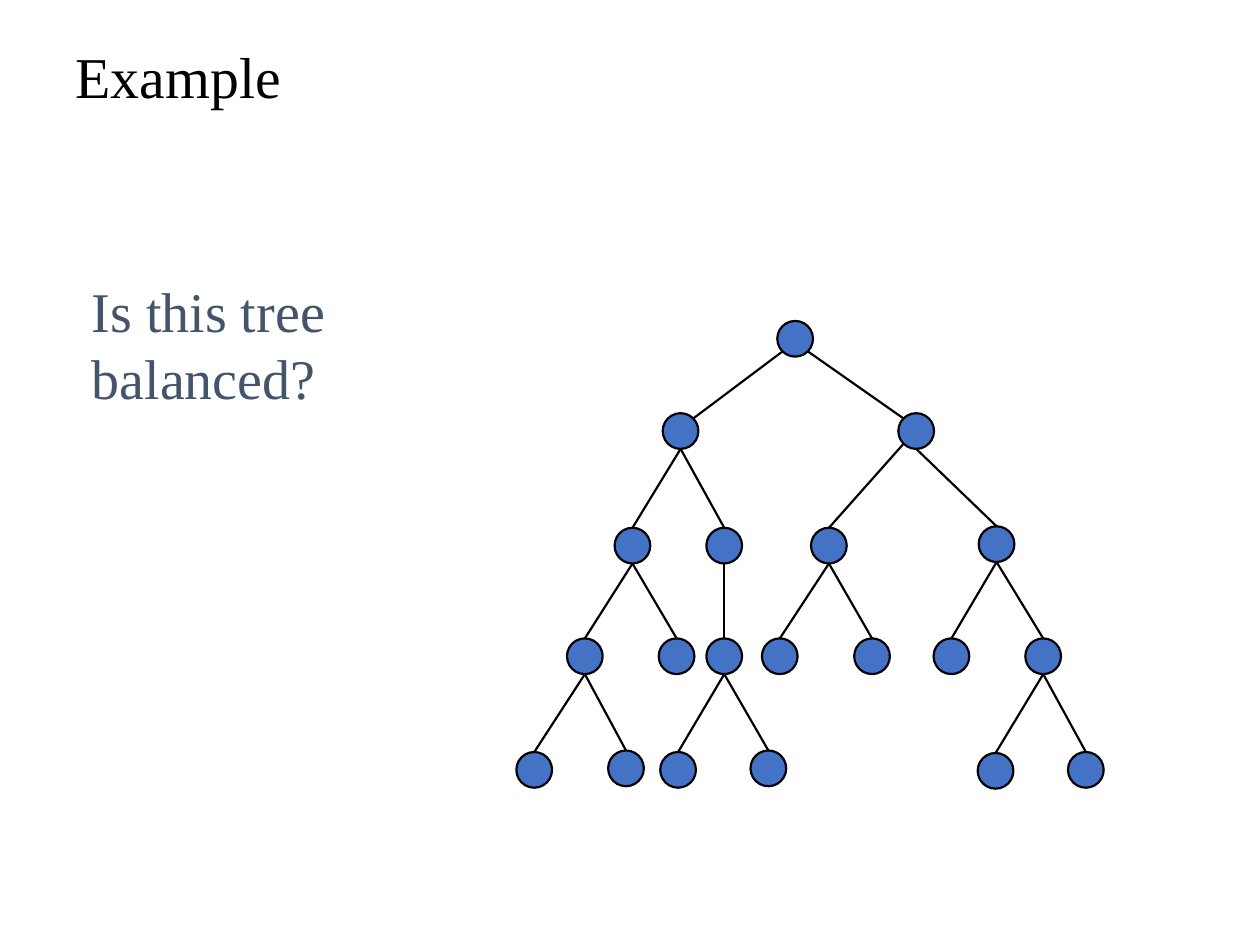
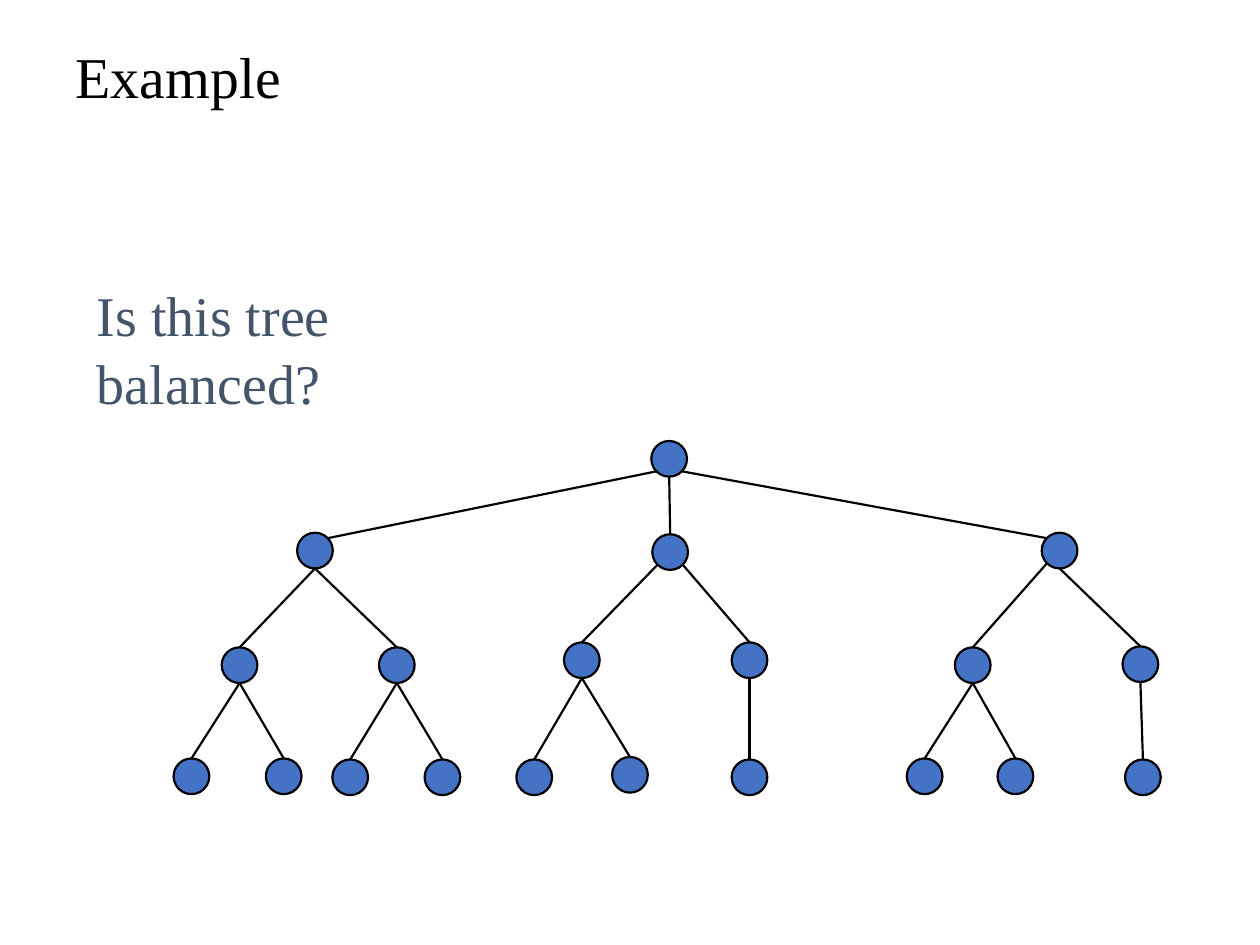
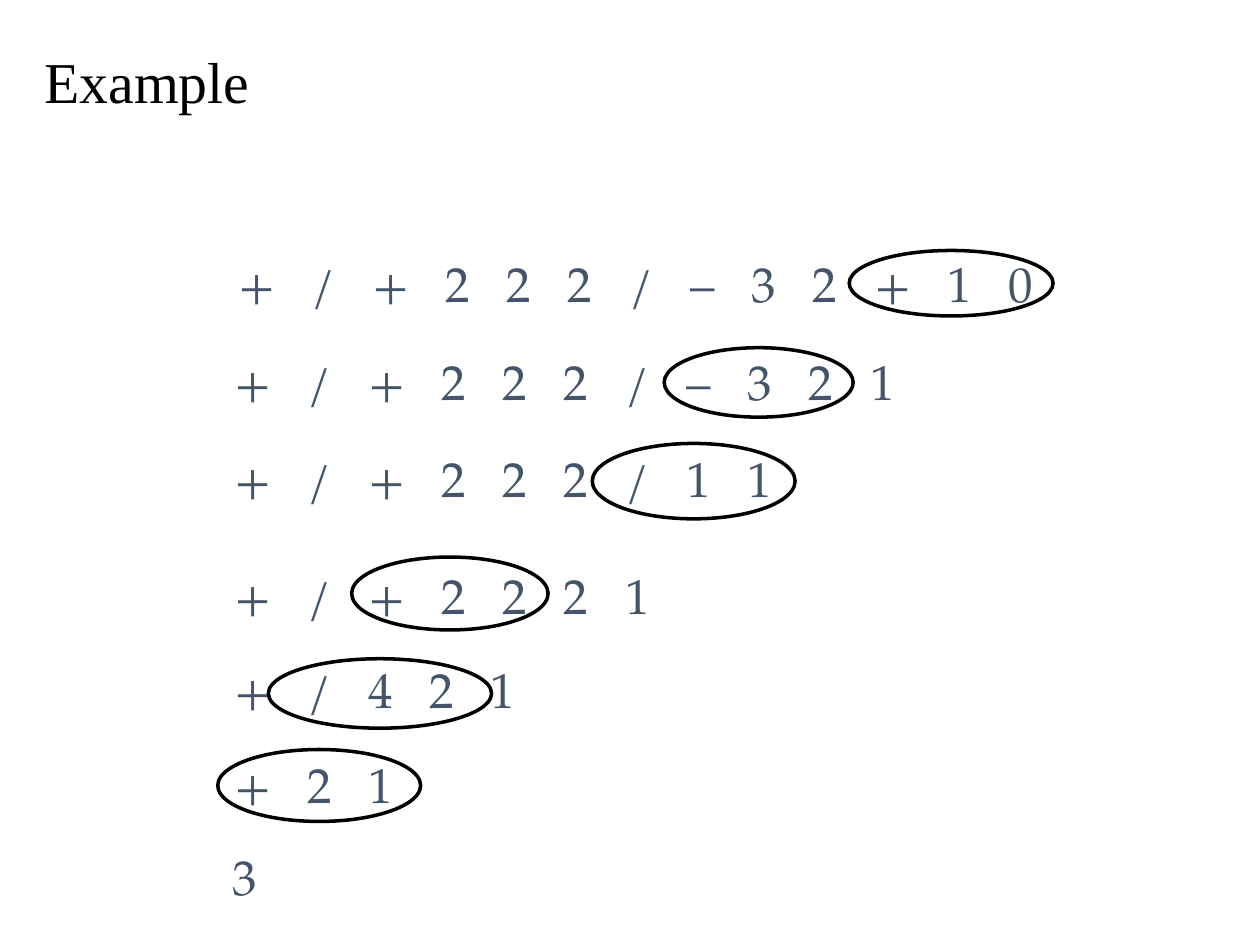
from dataclasses import dataclass
from lxml.etree import SubElement
from pptx import Presentation
from pptx.dml.color import RGBColor
from pptx.enum.shapes import MSO_CONNECTOR, MSO_SHAPE
from pptx.enum.text import MSO_ANCHOR, MSO_AUTO_SIZE, PP_ALIGN
from pptx.oxml.ns import qn
from pptx.util import Cm, Pt


@dataclass(frozen=True)
class Theme:
    ink: RGBColor = RGBColor(0x00, 0x00, 0x00)
    text: RGBColor = RGBColor(0x44, 0x54, 0x6A)
    node: RGBColor = RGBColor(0x44, 0x72, 0xC4)
    font: str = "Times New Roman"
    formula_font: str = "TeX Gyre Pagella"
    title_size: float = 33
    question_size: float = 32
    formula_size: float = 28
    edge_width: float = 1.25
    ring_width: float = 2


THEME = Theme()
TITLE = "Example"
QUESTION = "Is this tree balanced?"
TITLE_BOX = (1.27, 0.43, 22.86, 2.34)
WIDE_TITLE_BOX = (0.64, 0.43, 24.33, 2.54)
RADIUS = 0.36
CORNER = 0.25

# Each key is the route from the root: l = left, m = middle, r = right.
BINARY_TREE = {
    "": (16.03, 6.83),
    "l": (13.72, 8.69), "r": (18.47, 8.69),
    "ll": (12.75, 11), "lr": (14.6, 11),
    "rl": (16.71, 11), "rr": (20.09, 10.97),
    "lll": (11.79, 13.23), "llr": (13.64, 13.23), "lrm": (14.6, 13.23),
    "rll": (15.72, 13.23), "rlr": (17.58, 13.23),
    "rrl": (19.18, 13.23), "rrr": (21.03, 13.23),
    "llll": (10.77, 15.52), "lllr": (12.62, 15.49),
    "lrml": (13.67, 15.52), "lrmr": (15.49, 15.49),
    "rrrl": (20.07, 15.54), "rrrr": (21.89, 15.52),
}
TERNARY_TREE = {
    "": (13.49, 9.25),
    "l": (6.35, 11.1), "m": (13.51, 11.13), "r": (21.36, 11.1),
    "ll": (4.83, 13.41), "lr": (8, 13.41),
    "ml": (11.73, 13.31), "mr": (15.11, 13.31),
    "rl": (19.61, 13.41), "rr": (22.99, 13.39),
    "lll": (3.86, 15.65), "llr": (5.72, 15.65),
    "lrl": (7.06, 15.67), "lrr": (8.92, 15.67),
    "mll": (10.77, 15.67), "mlr": (12.7, 15.62), "mrm": (15.11, 15.67),
    "rll": (18.64, 15.65), "rlr": (20.47, 15.65), "rrm": (23.04, 15.67),
}
TREE_SLIDES = [
    (BINARY_TREE, {"l", "r", "rl"}, (1.6, 5.44, 10, 1.63)),
    (TERNARY_TREE, {"l", "r", "ml", "mr", "rl"}, (1.7, 5.54, 10, 1.63)),
]

STEPS = [
    ("+ / + 2 2 2 / – 3 2 + 1 0", (4.55, 5.11, 17.81, 1.32), (17.12, 5.05, 4.11, 1.32)),
    ("+ / + 2 2 2 / – 3 2 1", (4.47, 6.96, 14.55, 1.45), (13.39, 7.01, 3.81, 1.4)),
    ("+ / + 2 2 2 / 1 1", (4.47, 8.92, 12.32, 1.45), (11.94, 8.94, 4.09, 1.52)),
    ("+ / + 2 2 2 1", (4.47, 11.28, 9.65, 1.45), (7.09, 11.23, 3.96, 1.47)),
    ("+ / 4 2 1", (4.47, 13.18, 7.57, 1.45), (5.41, 13.28, 4.5, 1.4)),
    ("+ 2 1", (4.47, 15.09, 4.98, 1.45), (4.39, 15.11, 4.09, 1.45)),
    ("3", (4.44, 16.94, 1.04, 1.45), None),
]
SYMBOL_EMS = {"+": 0.74}
DIGIT_EMS = 0.5
GAP_EMS = 0.75


def box(lengths):
    return [Cm(v) for v in lengths]


def add_run(p, text, font, size, color):
    r = p.add_run()
    r.text = text
    r.font.name = font
    r.font.size = Pt(size)
    r.font.color.rgb = color


def add_slide(prs, title_box):
    s = prs.slides.add_slide(prs.slide_layouts[5])
    title = s.shapes.title
    title.left, title.top, title.width, title.height = box(title_box)
    tf = title.text_frame
    tf.vertical_anchor = MSO_ANCHOR.MIDDLE
    tf.auto_size = MSO_AUTO_SIZE.NONE
    p = tf.paragraphs[0]
    p.alignment = PP_ALIGN.LEFT
    p.line_spacing = 0.9
    add_run(p, TITLE, THEME.font, THEME.title_size, THEME.ink)
    return s


def add_text_box(s, place, wrap):
    tf = s.shapes.add_textbox(*box(place)).text_frame
    tf.word_wrap = wrap
    tf.auto_size = MSO_AUTO_SIZE.SHAPE_TO_FIT_TEXT
    return tf.paragraphs[0]


def add_ellipse(shapes, place, width, fill=None):
    sp = shapes.add_shape(MSO_SHAPE.OVAL, *box(place))
    sp.shadow.inherit = False
    if fill is None:
        sp.fill.background()
    else:
        sp.fill.solid()
        sp.fill.fore_color.rgb = fill
    sp.line.color.rgb = THEME.ink
    sp.line.width = Pt(width)


def add_edge(shapes, start, end):
    line = shapes.add_connector(MSO_CONNECTOR.STRAIGHT, *box(start + end))
    line.line.color.rgb = THEME.ink
    line.line.width = Pt(THEME.edge_width)
    SubElement(line._element.spPr, qn("a:effectLst"))


def edge_ends(tree, route, corner_exits):
    x1, y1 = tree[route[:-1]]
    x2, y2 = tree[route]
    start, end = (x1, y1 + RADIUS), (x2, y2 - RADIUS)
    if route in corner_exits:
        shift = -CORNER if route[-1] == "l" else CORNER
        start = (x1 + shift, y1 + CORNER)
        if len(route) == 1:
            end = (x2 - shift, y2 - CORNER)
    return start, end


def add_tree(s, tree, corner_exits):
    shapes = s.shapes.add_group_shape().shapes
    for x, y in tree.values():
        place = (x - RADIUS, y - RADIUS, 2 * RADIUS, 2 * RADIUS)
        add_ellipse(shapes, place, THEME.edge_width, THEME.node)
    for route in tree:
        if route:
            add_edge(shapes, *edge_ends(tree, route, corner_exits))


def add_formula(s, formula, place):
    symbols = formula.split()
    p = add_text_box(s, place, len(symbols) > 1)
    if len(symbols) > 1:
        tabs = SubElement(p._p.get_or_add_pPr(), qn("a:tabLst"))
        ems = 0
        for symbol in symbols[:-1]:
            ems += SYMBOL_EMS.get(symbol, DIGIT_EMS) + GAP_EMS
            SubElement(tabs, qn("a:tab"), pos=str(Pt(ems * THEME.formula_size)), algn="l")
    add_run(p, "\t".join(symbols), THEME.formula_font, THEME.formula_size, THEME.text)
    return p


def main():
    prs = Presentation()
    prs.slide_width, prs.slide_height = Cm(25.4), Cm(19.05)

    for tree, corner_exits, question_box in TREE_SLIDES:
        s = add_slide(prs, TITLE_BOX)
        p = add_text_box(s, question_box, False)
        add_run(p, QUESTION, THEME.font, THEME.question_size, THEME.text)
        add_tree(s, tree, corner_exits)

    s = add_slide(prs, WIDE_TITLE_BOX)
    for i, (formula, place, ring) in enumerate(STEPS):
        p = add_formula(s, formula, place)
        if i == 0:
            p.line_spacing = 0.9
        if ring:
            add_ellipse(s.shapes, ring, THEME.ring_width)

    prs.save("out.pptx")


if __name__ == "__main__":
    main()
